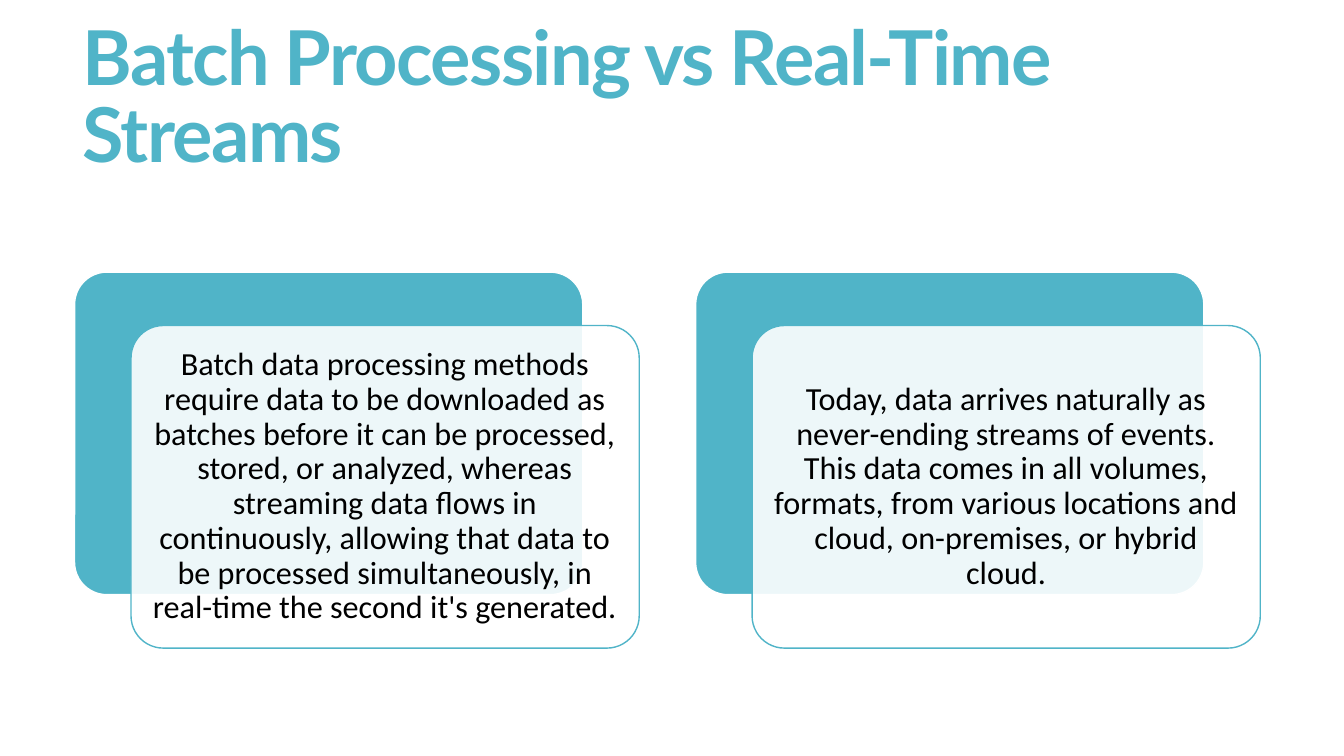
from pptx import Presentation
from pptx.dml.color import RGBColor
from pptx.enum.shapes import MSO_SHAPE as Shape
from pptx.enum.text import MSO_ANCHOR as Anchor, MSO_AUTO_SIZE as AutoSize, PP_ALIGN as Align
from pptx.oxml.ns import qn
from pptx.util import Inches, Pt
from lxml.etree import SubElement

COLORS = {"teal": "50B4C8", "white": "FFFFFF", "black": "000000"}
CARD_TEXTS = [
    "Batch data processing methods require data to be downloaded as batches before it can be "
    "processed, stored, or analyzed, whereas streaming data flows in continuously, allowing that "
    "data to be processed simultaneously, in real-time the second it's generated.",
    "Today, data arrives naturally as never-ending streams of events. This data comes in all "
    "volumes, formats, from various locations and cloud, on-premises, or hybrid cloud.",
]


def color(name):
    return RGBColor.from_string(COLORS[name])


def add_title(page, left, top, width, height, text):
    box = page.shapes.title
    box.left, box.top, box.width, box.height = map(Inches, (left, top, width, height))
    frame = box.text_frame
    frame.text = text
    frame.word_wrap = True
    frame.auto_size = AutoSize.NONE
    frame.vertical_anchor = Anchor.MIDDLE
    frame.margin_bottom = Inches(0.95)  # lifts the heading above the box centre
    para = frame.paragraphs[0]
    para.alignment = Align.LEFT
    para.line_spacing = 0.85
    font = para.font
    font.name, font.size, font.bold = "Lato", Pt(54), True
    font.color.rgb = color("teal")
    para.runs[0].font._element.set("spc", "-120")


def add_panel(page, left, top, width, height, fill, line):
    panel = page.shapes.add_shape(Shape.ROUNDED_RECTANGLE, *map(Inches, (left, top, width, height)))
    panel.adjustments[0] = 0.1
    panel.shadow.inherit = False
    panel.fill.solid()
    panel.fill.fore_color.rgb = color(fill)
    panel.line.color.rgb = color(line)
    panel.line.width = Pt(1)
    return panel


def add_card(page, left, top, width, height, text):
    # Solid backing panel, then a translucent text panel shifted down and right
    add_panel(page, left, top, width, height, "teal", "white")
    front = add_panel(page, left + 0.56, top + 0.53, width, height, "white", "teal")
    fill_color = front.fill._xPr.find(qn("a:solidFill"))[0]
    SubElement(fill_color, qn("a:alpha")).set("val", "90000")

    frame = front.text_frame
    frame.word_wrap = True
    frame.vertical_anchor = Anchor.MIDDLE
    frame.margin_left = frame.margin_right = Inches(0.1)
    frame.margin_top = frame.margin_bottom = Inches(0.1)
    frame.text = text
    para = frame.paragraphs[0]
    para.alignment = Align.CENTER
    para.line_spacing = 0.9
    para.font.name, para.font.size = "Calibri", Pt(23)
    para.font.color.rgb = color("black")


def main():
    deck = Presentation()
    deck.slide_width, deck.slide_height = Inches(13.33), Inches(7.5)
    page = deck.slides.add_slide(deck.slide_layouts[5])

    # Heading
    add_title(page, 0.72, 0.55, 11.78, 1.81, "Batch Processing vs Real-Time Streams")

    # Two comparison cards
    for index, text in enumerate(CARD_TEXTS):
        add_card(page, 0.74 + index * 6.16, 2.7, 5.04, 3.2, text)

    deck.save("out.pptx")


if __name__ == "__main__":
    main()
